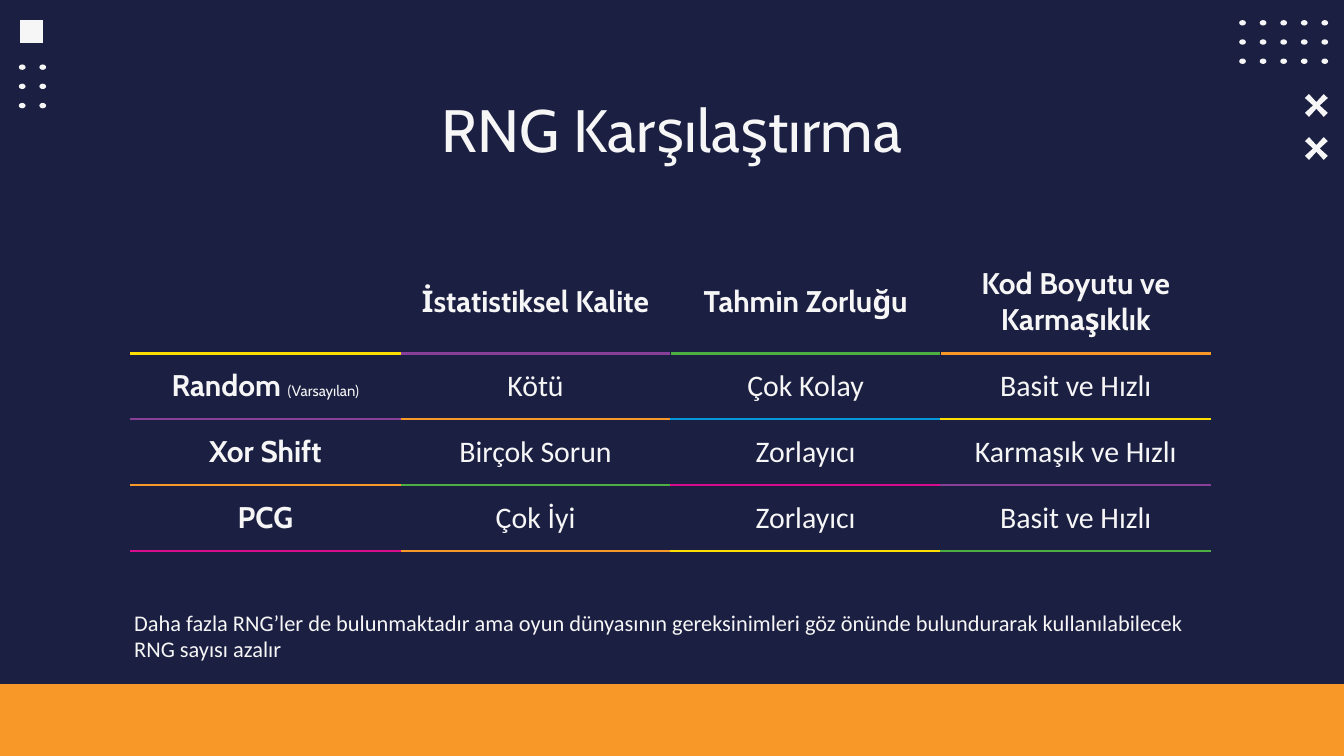
import pptx
import pptx.util
import pptx.dml.color
import pptx.enum.shapes
import pptx.enum.text
import pptx.oxml
import pptx.oxml.ns

Inches, Pt = pptx.util.Inches, pptx.util.Pt
SHAPE = pptx.enum.shapes.MSO_SHAPE
ALIGN = pptx.enum.text.PP_ALIGN

# Content
NAVY, WHITE, ORANGE = "1B1F42", "F6F6F6", "F89829"
YELLOW, PURPLE, GREEN, BLUE, PINK = "FFDE00", "883F98", "4CAE43", "0397D6", "D80C8C"
HEADING, BODY = "Cabin", "Calibri"
TITLE = "RNG Karşılaştırma"
NOTE = ("Daha fazla RNG’ler de bulunmaktadır ama oyun dünyasının gereksinimleri "
        "göz önünde bulundurarak kullanılabilecek RNG sayısı azalır")
ROWS = [
    ["", "İstatistiksel Kalite", "Tahmin Zorluğu", "Kod Boyutu ve Karmaşıklık"],
    ["Random ", "Kötü", "Çok Kolay", "Basit ve Hızlı"],
    ["Xor Shift", "Birçok Sorun", "Zorlayıcı", "Karmaşık ve Hızlı"],
    ["PCG", "Çok İyi", "Zorlayıcı", "Basit ve Hızlı"],
]
SMALL_NOTES = {(1, 0): "(Varsayılan)"}
RULES = [  # line colour under each cell
    [YELLOW, PURPLE, GREEN, ORANGE],
    [PURPLE, ORANGE, BLUE, YELLOW],
    [ORANGE, GREEN, PINK, PURPLE],
    [PINK, ORANGE, YELLOW, GREEN],
]
ROW_HEIGHTS = [0.77, 0.49, 0.49, 0.49]
COLUMN_WIDTH = 2.01
DOT_GRIDS = [  # left, top, columns, rows
    (9.22, 0.15, 5, 3),
    (0.14, 0.48, 2, 3),
]
DOT_STEP = (0.153, 0.143)
CROSS_TOPS = [0.7, 1.02]
CROSS_POINTS = [(14, 17), (17, 14), (11, 8.5), (17, 3), (14, 0), (8.5, 6),
                (3, 0), (0, 3), (6, 8.5), (0, 14), (3, 17), (8.5, 11)]


def colour(value):
    return pptx.dml.color.RGBColor.from_string(value)


def paint(shape, value):
    shape.shadow.inherit = False
    shape.fill.solid()
    shape.fill.fore_color.rgb = colour(value)
    shape.line.fill.background()


def add_block(kind, left, top, width, height, value):
    paint(slide.shapes.add_shape(kind, Inches(left), Inches(top), Inches(width), Inches(height)), value)


def add_run(paragraph, text, size, font, bold=False):
    run = paragraph.add_run()
    run.text = text
    run.font.size = Pt(size)
    run.font.name = font
    run.font.bold = bold
    run.font.color.rgb = colour(WHITE)


def add_text(text, left, top, width, height, size, font, align, inset):
    frame = slide.shapes.add_textbox(Inches(left), Inches(top), Inches(width), Inches(height)).text_frame
    frame.word_wrap = True
    frame.margin_top = frame.margin_bottom = Inches(inset)
    frame.paragraphs[0].alignment = align
    add_run(frame.paragraphs[0], text, size, font)


def add_border(cell, side, value, width):
    fill = f'<a:solidFill><a:srgbClr val="{value}"/></a:solidFill>' if value else "<a:noFill/>"
    cell._tc.get_or_add_tcPr().append(pptx.oxml.parse_xml(
        f'<a:ln{side} {pptx.oxml.ns.nsdecls("a")} w="{Pt(width)}">{fill}</a:ln{side}>'))


presentation = pptx.Presentation()
presentation.slide_width, presentation.slide_height = Inches(10), Inches(5.625)
slide = presentation.slides.add_slide(presentation.slide_layouts[6])
slide.background.fill.solid()
slide.background.fill.fore_color.rgb = colour(NAVY)

# Corner decoration and footer band
for top in CROSS_TOPS:
    points = [(Inches(9.71 + x / 100), Inches(top + y / 100)) for x, y in CROSS_POINTS]
    builder = slide.shapes.build_freeform(*points[0])
    builder.add_line_segments(points[1:], close=True)
    paint(builder.convert_to_shape(), WHITE)
for left, top, columns, rows in DOT_GRIDS:
    for index in range(columns * rows):
        row, column = divmod(index, columns)
        add_block(SHAPE.OVAL, left + column * DOT_STEP[0], top + row * DOT_STEP[1], 0.05, 0.04, WHITE)
add_block(SHAPE.RECTANGLE, 0.15, 0.15, 0.17, 0.17, WHITE)
add_block(SHAPE.RECTANGLE, 0, 5.09, 10, 0.535, ORANGE)

# Title
add_text(TITLE, 0.78, 0.59, 8.44, 0.63, 32, HEADING, ALIGN.CENTER, 0.1)

# Comparison table
table = slide.shapes.add_table(
    len(ROWS), len(ROWS[0]), Inches(0.97), Inches(1.86),
    Inches(COLUMN_WIDTH * len(ROWS[0])), Inches(sum(ROW_HEIGHTS))).table
table.first_row = table.horz_banding = False
for column in table.columns:
    column.width = Inches(COLUMN_WIDTH)
for r, texts in enumerate(ROWS):
    table.rows[r].height = Inches(ROW_HEIGHTS[r])
    for c, text in enumerate(texts):
        cell = table.cell(r, c)
        cell.vertical_anchor = pptx.enum.text.MSO_ANCHOR.MIDDLE
        cell.margin_left = cell.margin_right = cell.margin_top = cell.margin_bottom = Inches(0.1)
        paragraph = cell.text_frame.paragraphs[0]
        paragraph.alignment = ALIGN.CENTER
        is_heading = r == 0 or c == 0
        if text:
            add_run(paragraph, text, 16, HEADING if is_heading else BODY, is_heading)
        if (r, c) in SMALL_NOTES:
            add_run(paragraph, SMALL_NOTES[r, c], 8, HEADING)
        inner = NAVY if r else None
        add_border(cell, "L", inner if c > 1 else None, 0.75)
        add_border(cell, "R", inner if 0 < c < 3 else None, 0.75)
        add_border(cell, "T", RULES[r - 1][c] if r else None, 1.5)
        add_border(cell, "B", RULES[r][c], 1.5)
        cell.fill.background()

# Closing note
add_text(NOTE, 0.9, 4.48, 8.32, 0.5, 12, BODY, ALIGN.LEFT, 0.05)

presentation.save("out.pptx")
